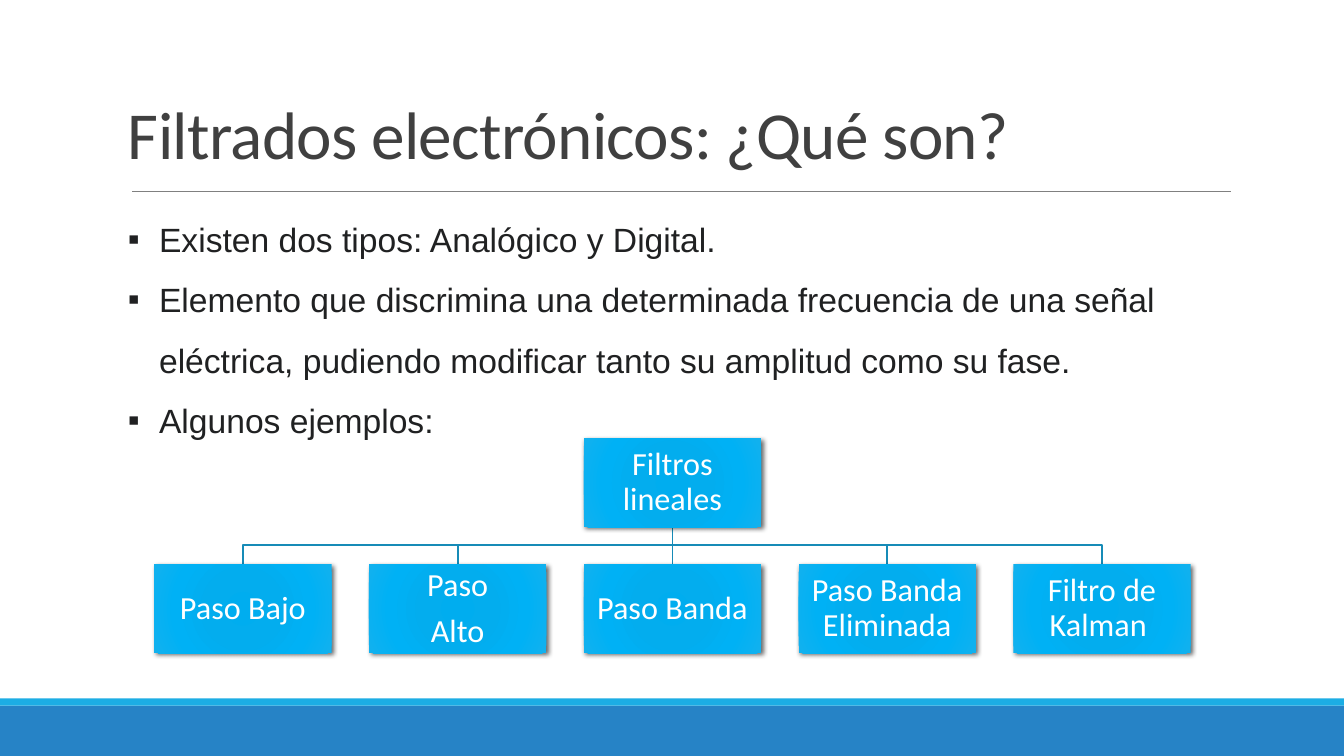
from dataclasses import dataclass

from lxml import etree
from pptx import Presentation
from pptx.dml.color import RGBColor
from pptx.enum.shapes import MSO_CONNECTOR, MSO_SHAPE
from pptx.enum.text import MSO_ANCHOR, MSO_AUTO_SIZE, PP_ALIGN
from pptx.oxml import parse_xml
from pptx.oxml.ns import qn
from pptx.util import Inches, Pt

RECT = MSO_SHAPE.RECTANGLE
STRAIGHT = MSO_CONNECTOR.STRAIGHT
CENTER = PP_ALIGN.CENTER
MIDDLE = MSO_ANCHOR.MIDDLE
BOTTOM = MSO_ANCHOR.BOTTOM
GROW = MSO_AUTO_SIZE.SHAPE_TO_FIT_TEXT

WHITE = RGBColor(0xFF, 0xFF, 0xFF)
BLUE = RGBColor(0x26, 0x83, 0xC6)
CYAN = RGBColor(0x1C, 0xAD, 0xE4)
LINK = RGBColor(0x16, 0x8B, 0xB7)
GRAY = RGBColor(0x80, 0x80, 0x80)
TITLE_INK = RGBColor(0x40, 0x40, 0x40)
BODY_INK = RGBColor(0x20, 0x21, 0x22)
BOX_STOPS = (
    (0, RGBColor(0x00, 0xAD, 0xEF)),
    (34, RGBColor(0x03, 0xAD, 0xEE)),
    (70, RGBColor(0x00, 0xB1, 0xF5)),
    (100, RGBColor(0x12, 0xB1, 0xEE)),
)

NS = 'xmlns:a="http://schemas.openxmlformats.org/drawingml/2006/main"'
BOX_W, BOX_H = 1.76, 0.88
ROOT_TOP, ROW_TOP = 4.35, 5.6
ROW_LEFT, PITCH = 1.53, 2.13
BUS_Y = 5.41


@dataclass(frozen=True)
class Band:
    top: float
    height: float
    color: RGBColor


@dataclass(frozen=True)
class Node:
    text: str
    left: float
    top: float

    @property
    def center(self) -> float:
        return self.left + BOX_W / 2


BANDS = (Band(7, 0.5, BLUE), Band(6.93, 0.07, CYAN))
ROOT = Node("Filtros lineales", ROW_LEFT + 2 * PITCH, ROOT_TOP)
FILTERS = [
    Node(text, ROW_LEFT + i * PITCH, ROW_TOP)
    for i, text in enumerate(
        ("Paso Bajo", "Paso\nAlto", "Paso Banda", "Paso Banda Eliminada", "Filtro de Kalman ")
    )
]
POINTS = (
    "Existen dos tipos: Analógico y Digital.",
    "Elemento que discrimina una determinada frecuencia de una señal eléctrica, "
    "pudiendo modificar tanto su amplitud como su fase.",
    "Algunos ejemplos:",
)


def style_text(tf, font: str, size: float, color: RGBColor, spacing: float) -> None:
    tf.word_wrap = True
    for p in tf.paragraphs:
        p.line_spacing = spacing
        for r in p.runs:
            r.font.name = font
            r.font.size = Pt(size)
            r.font.color.rgb = color


def add_band(s, band: Band) -> None:
    sp = s.shapes.add_shape(RECT, 0, Inches(band.top), Inches(13.33), Inches(band.height))
    sp.shadow.inherit = False
    sp.fill.solid()
    sp.fill.fore_color.rgb = band.color
    sp.line.fill.background()


def add_line(s, x1: float, y1: float, x2: float, y2: float, color: RGBColor, width: float):
    line = s.shapes.add_connector(STRAIGHT, Inches(x1), Inches(y1), Inches(x2), Inches(y2))
    line.line.color.rgb = color
    line.line.width = Pt(width)
    etree.SubElement(line._element.spPr, qn("a:effectLst"))
    return line


def add_elbow(s, parent: Node, child: Node) -> None:
    corners = (
        (parent.center, BUS_Y),
        (child.center, BUS_Y),
        (child.center, child.top),
    )
    builder = s.shapes.build_freeform(Inches(parent.center), Inches(parent.top + BOX_H))
    builder.add_line_segments([(Inches(x), Inches(y)) for x, y in corners], close=False)
    sp = builder.convert_to_shape()
    sp.shadow.inherit = False
    sp.fill.background()
    sp.line.color.rgb = LINK
    sp.line.width = Pt(1.25)


def add_node(s, node: Node):
    sp = s.shapes.add_shape(
        RECT, Inches(node.left), Inches(node.top), Inches(BOX_W), Inches(BOX_H)
    )
    sp.fill.background()
    sp.line.fill.background()
    spPr = sp._element.spPr
    stops = "".join(
        f'<a:gs pos="{pos * 1000}"><a:srgbClr val="{color}"/></a:gs>' for pos, color in BOX_STOPS
    )
    gradient = parse_xml(
        f'<a:gradFill {NS} rotWithShape="1"><a:gsLst>{stops}</a:gsLst><a:path path="circle">'
        '<a:fillToRect l="100000" t="100000" r="100000" b="100000"/></a:path></a:gradFill>'
    )
    spPr.replace(spPr.find(qn("a:noFill")), gradient)
    spPr.append(parse_xml(
        f'<a:effectLst {NS}><a:outerShdw blurRad="{Pt(3.5)}" dist="{Pt(2)}" dir="2700000" '
        'algn="tl" rotWithShape="0"><a:srgbClr val="000000"><a:alpha val="60000"/></a:srgbClr>'
        "</a:outerShdw></a:effectLst>"
    ))
    tf = sp.text_frame
    tf.margin_left = tf.margin_right = tf.margin_top = tf.margin_bottom = Inches(0.02)
    tf.vertical_anchor = MIDDLE
    tf.text = node.text
    style_text(tf, "Calibri", 23, WHITE, 0.9)
    for p in tf.paragraphs:
        p.alignment = CENTER
        p.space_after = Pt(8)
    return sp


def add_title(s, text: str) -> None:
    tf = s.shapes.add_textbox(Inches(1.17), Inches(0.84), Inches(11), Inches(0.93)).text_frame
    tf.vertical_anchor = BOTTOM
    tf.text = text
    style_text(tf, "Calibri", 48, TITLE_INK, 0.85)
    tf.paragraphs[0].runs[0].font._element.set("spc", "-50")


def add_points(s, points: tuple[str, ...]) -> None:
    tf = s.shapes.add_textbox(Inches(1.17), Inches(1.92), Inches(11.63), Inches(2.46)).text_frame
    tf.auto_size = GROW
    tf.text = "\n".join(points)
    style_text(tf, "Arial", 24, BODY_INK, 1.5)
    for p in tf.paragraphs:
        pPr = p._p.get_or_add_pPr()
        pPr.set("marL", str(Inches(0.31)))
        pPr.set("indent", str(Inches(-0.31)))
        etree.SubElement(pPr, qn("a:buFont"), typeface="Arial")
        etree.SubElement(pPr, qn("a:buChar"), char="▪")


def main() -> None:
    prs = Presentation()
    prs.slide_width = Inches(13.33)
    prs.slide_height = Inches(7.5)
    s = prs.slides.add_slide(prs.slide_layouts[6])
    for band in BANDS:
        add_band(s, band)
    add_line(s, 1.31, 1.9, 12.21, 1.9, GRAY, 0.5)

    for node in FILTERS:
        if node.left != ROOT.left:
            add_elbow(s, ROOT, node)
    trunk = add_line(s, ROOT.center, ROOT.top + BOX_H, ROOT.center, ROW_TOP, LINK, 1.25)
    root = add_node(s, ROOT)
    row = [add_node(s, node) for node in FILTERS]
    trunk.begin_connect(root, 2)
    trunk.end_connect(row[2], 0)

    add_points(s, POINTS)
    add_title(s, "Filtrados electrónicos: ¿Qué son?")
    prs.save("out.pptx")


if __name__ == "__main__":
    main()
